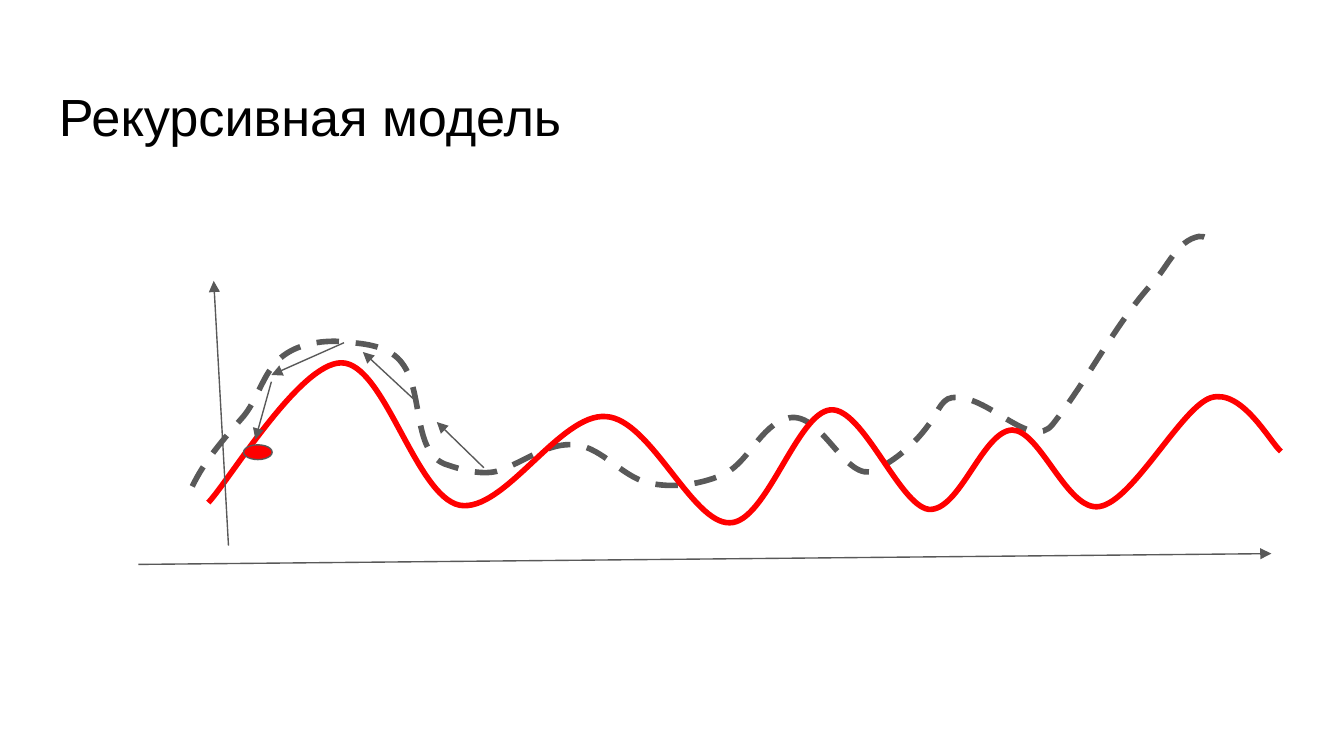
from lxml import etree
from pptx import Presentation
from pptx.dml.color import RGBColor
from pptx.enum.dml import MSO_LINE
from pptx.enum.shapes import MSO_CONNECTOR, MSO_SHAPE
from pptx.oxml.ns import qn
from pptx.util import Pt

STRAIGHT = MSO_CONNECTOR.STRAIGHT
OVAL = MSO_SHAPE.OVAL
DASH = MSO_LINE.DASH
BLACK = RGBColor(0x00, 0x00, 0x00)
GRAY = RGBColor(0x59, 0x59, 0x59)
RED = RGBColor(0xFF, 0x00, 0x00)

# Each curve is a start point, then two control points and an end point per row.
FORECAST = [
    (103, 260.6),
    (109.4, 247), (120.2, 234.7), (130.3, 223.2),
    (137.5, 214.6), (140.4, 202.3), (147.6, 194.4),
    (157, 183.6), (175, 181.4), (188.6, 183.6),
    (198, 184.3), (209.5, 186.5), (215.3, 194.4),
    (227.5, 210.2), (220.3, 243.4), (239.8, 249.1),
    (248.4, 252), (259.2, 254.9), (267.8, 252),
    (281.5, 247), (293.8, 236.9), (308.2, 238.3),
    (323.3, 239.8), (334.1, 257), (349.9, 259.2),
    (362.2, 261.4), (375.1, 259.2), (385.9, 254.9),
    (401, 249.1), (406.8, 227.5), (422.6, 223.9),
    (440.6, 220.3), (452.9, 259.2), (468.7, 252),
    (480.2, 246.2), (490.3, 237.6), (497.5, 227.5),
    (501.8, 222.5), (504, 213.8), (509.8, 213.1),
    (528.5, 210.2), (552.2, 241.9), (563.8, 227.5),
    (583.2, 203), (596.9, 174.2), (617.8, 151.2),
    (625.7, 142.6), (630.7, 128.9), (642.2, 126.7),
    (645.8, 126), (649.4, 129.6), (653, 130.3),
]
ACTUAL = [
    (111.6, 269.3),
    (123.1, 257), (160.6, 194.4), (182.9, 194.4),
    (205.9, 194.4), (222.5, 265.7), (246.2, 270.7),
    (270, 275), (300.2, 221), (324.7, 223.2),
    (348.5, 224.6), (370.8, 280.8), (391, 280.1),
    (410.4, 280.1), (427, 221), (445, 219.6),
    (462.2, 218.2), (481.7, 270.7), (497.5, 272.9),
    (514.1, 274.3), (526.3, 231.1), (542.2, 230.4),
    (557.3, 230.4), (571.7, 274.3), (589, 271.4),
    (607, 268.6), (632.9, 218.2), (648.7, 213.1),
    (665.3, 208.1), (680.4, 236.9), (686.2, 241.9),
]
STEPS_BACK = [
    (184.3, 183.6, 145.4, 200.9),
    (223.2, 215.3, 194.4, 188.6),
    (259.2, 250.6, 234, 226.1),
    (145.4, 204.5, 136.8, 235.4),
]
AXES = [(122.4, 292.3, 114.5, 150.5), (74.2, 302.4, 681.1, 296.6)]


def add_curve(s, points, color):
    """Draw a freeform whose straight segments are merged by threes into Béziers."""
    start, *rest = [(Pt(x), Pt(y)) for x, y in points]
    builder = s.shapes.build_freeform(*start)
    builder.add_line_segments(rest, close=False)
    sp = builder.convert_to_shape()
    segments = list(sp._element.iter(qn("a:lnTo")))
    for first, second, third in zip(segments[::3], segments[1::3], segments[2::3]):
        first.tag = qn("a:cubicBezTo")
        for segment in (second, third):
            first.append(segment[0])
            segment.getparent().remove(segment)
    sp.shadow.inherit = False
    sp.fill.background()
    sp.line.color.rgb = color
    sp.line.width = Pt(3)
    return sp


def add_arrow(s, ends):
    line = s.shapes.add_connector(STRAIGHT, *[Pt(v) for v in ends])
    line.line.color.rgb = GRAY
    line.line.width = Pt(0.75)
    etree.SubElement(line.line._get_or_add_ln(), qn("a:tailEnd"), type="triangle")
    etree.SubElement(line._element.spPr, qn("a:effectLst"))


prs = Presentation()
prs.slide_width, prs.slide_height = Pt(720), Pt(405)
s = prs.slides.add_slide(prs.slide_layouts[6])

title = s.shapes.add_textbox(Pt(24.5), Pt(35.3), Pt(671), Pt(45.4))
tf = title.text_frame
tf.word_wrap = True
tf.margin_left = tf.margin_right = tf.margin_bottom = Pt(7.2)
tf.margin_top = Pt(9.6)
tf.text = "Рекурсивная модель"
r = tf.paragraphs[0].runs[0]
r.font.name = "Arial"
r.font.size = Pt(28)
r.font.color.rgb = BLACK

forecast = add_curve(s, FORECAST, GRAY)
forecast.line.dash_style = DASH
add_curve(s, ACTUAL, RED)

for step in STEPS_BACK:
    add_arrow(s, step)

origin = s.shapes.add_shape(OVAL, Pt(130.5), Pt(238.3), Pt(15.3), Pt(7.9))
origin.shadow.inherit = False
origin.fill.solid()
origin.fill.fore_color.rgb = RED
origin.line.color.rgb = GRAY
origin.line.width = Pt(0.75)

for axis in AXES:
    add_arrow(s, axis)

prs.save("out.pptx")
